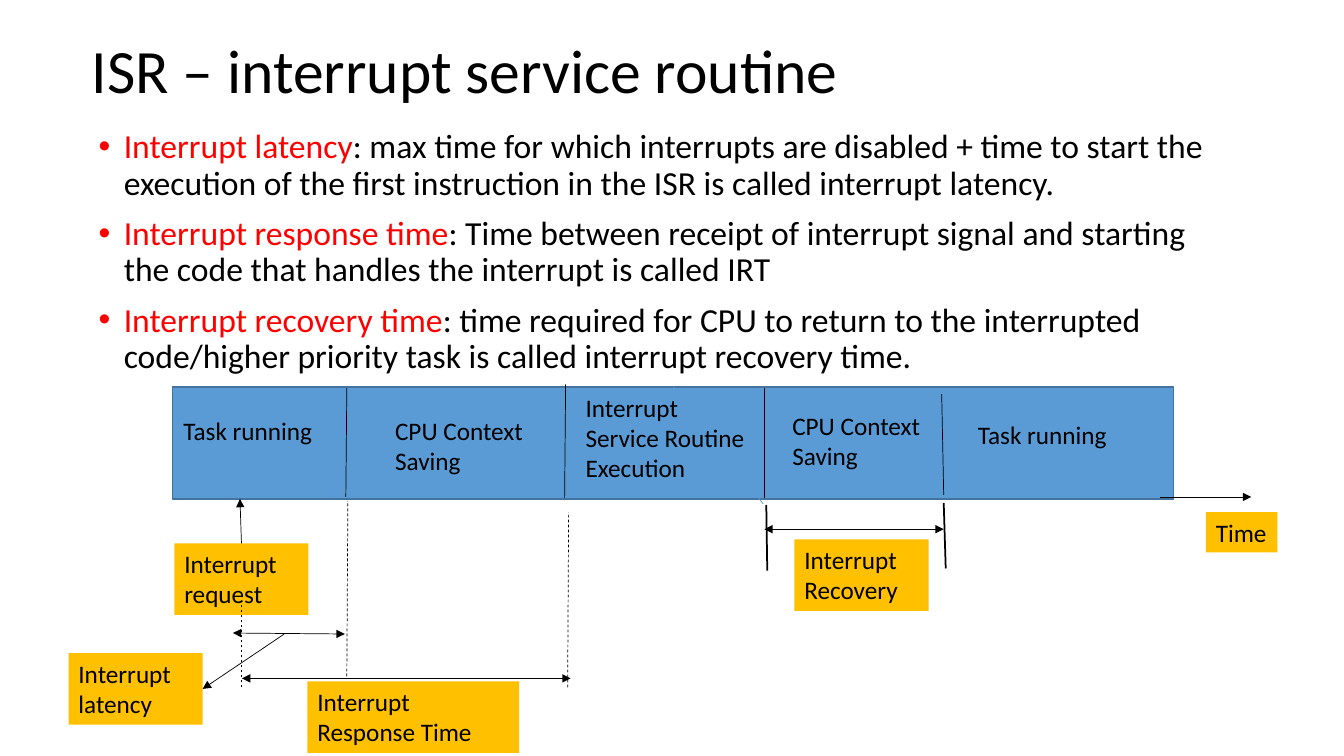
from dataclasses import dataclass
from lxml.etree import SubElement
from pptx import Presentation
from pptx.dml.color import RGBColor
from pptx.enum.dml import MSO_LINE
from pptx.enum.shapes import MSO_CONNECTOR, MSO_SHAPE
from pptx.enum.text import MSO_ANCHOR
from pptx.oxml.ns import qn
from pptx.util import Inches, Pt


@dataclass(frozen=True)
class Theme:
    font: str = "Calibri"
    black: RGBColor = RGBColor(0, 0, 0)
    red: RGBColor = RGBColor(0xFF, 0, 0)
    blue: RGBColor = RGBColor(0x5B, 0x9B, 0xD5)
    edge: RGBColor = RGBColor(0x43, 0x73, 0x9E)
    amber: RGBColor = RGBColor(0xFF, 0xC0, 0)
    title: int = 44
    body: int = 24
    label: int = 18


theme = Theme()
prs = Presentation()
prs.slide_width, prs.slide_height = Inches(13.33), Inches(7.5)
s = prs.slides.add_slide(prs.slide_layouts[6])


def add_text(text, size, left, top, width, height, fill=None, wrap=True):
    sp = s.shapes.add_textbox(*map(Inches, (left, top, width, height)))
    if fill is not None:
        sp.fill.solid()
        sp.fill.fore_color.rgb = fill
    tf = sp.text_frame
    tf.word_wrap = wrap
    tf.text = text
    font = tf.paragraphs[0].runs[0].font
    font.name, font.size, font.color.rgb = theme.font, Pt(size), theme.black
    return sp


def add_line(x1, y1, x2, y2, width=0.5, color=theme.black, dash=None, arrows=()):
    cx = s.shapes.add_connector(MSO_CONNECTOR.STRAIGHT, *map(Inches, (x1, y1, x2, y2)))
    cx.line.width, cx.line.color.rgb = Pt(width), color
    if dash:
        cx.line.dash_style = dash
    ln = cx.line._get_or_add_ln()
    for end in arrows:
        SubElement(ln, qn(f"a:{end}"), type="triangle")
    SubElement(cx._element.spPr, qn("a:effectLst"))
    return cx


sp = add_text("ISR – interrupt service routine", theme.title, 0.81, 0, 11.5, 1.45)
sp.text_frame.vertical_anchor = MSO_ANCHOR.MIDDLE
sp.text_frame.paragraphs[0].line_spacing = 0.9

definitions = [
    ("Interrupt latency", ": max time for which interrupts are disabled + time to start the "
     "execution of the first instruction in the ISR is called interrupt latency."),
    ("Interrupt response time", ": Time between receipt of interrupt signal and starting "
     "the code that handles the interrupt is called IRT"),
    ("Interrupt recovery time", ": time required for CPU to return to the interrupted "
     "code/higher priority task is called interrupt recovery time."),
]
tf = s.shapes.add_textbox(Inches(0.88), Inches(1.24), Inches(11.5), Inches(4.76)).text_frame
tf.word_wrap = True
for i, (term, meaning) in enumerate(definitions):
    p = tf.add_paragraph() if i else tf.paragraphs[0]
    p.line_spacing = 0.9
    p.space_before = Pt(10 if i else 0)
    pPr = p._p.get_or_add_pPr()
    pPr.set("marL", str(Inches(0.25)))
    pPr.set("indent", str(-Inches(0.25)))
    SubElement(pPr, qn("a:buFont"), typeface="Arial")
    SubElement(pPr, qn("a:buChar"), char="•")
    for text, color in ((term, theme.red), (meaning, theme.black)):
        r = p.add_run()
        r.text = text
        r.font.name, r.font.size, r.font.color.rgb = theme.font, Pt(theme.body), color

bar = s.shapes.add_shape(MSO_SHAPE.RECTANGLE, Inches(1.71), Inches(3.84), Inches(9.93), Inches(1.11))
bar.shadow.inherit = False
bar.fill.solid()
bar.fill.fore_color.rgb = theme.blue
bar.line.color.rgb, bar.line.width = theme.edge, Pt(1)

add_line(6.68, 3.84, 7.57, 5, color=theme.blue)
for divider in [(3.44, 3.85, 3.43, 4.93), (5.61, 3.81, 5.6, 4.94),
                (7.58, 3.85, 7.58, 4.94), (9.34, 3.91, 9.36, 4.91)]:
    add_line(*divider)

for text, left, top, width, height in [
    ("Task running", 1.72, 4.07, 1.51, 0.4),
    ("CPU Context Saving", 3.82, 4.07, 1.51, 0.71),
    ("Interrupt Service Routine Execution", 5.71, 3.84, 1.84, 1.01),
    ("CPU Context Saving", 7.76, 4.02, 1.51, 0.71),
    ("Task running", 9.6, 4.11, 1.78, 0.4),
]:
    add_text(text, theme.label, left, top, width, height)

request = add_text("Interrupt request", theme.label, 1.73, 5.39, 1.33, 0.71, theme.amber)
latency = add_text("Interrupt latency", theme.label, 0.68, 6.48, 1.33, 0.71, theme.amber)
add_text("Interrupt Recovery", theme.label, 7.88, 5.35, 1.33, 0.71, theme.amber)
add_text("Interrupt Response Time", theme.label, 3.05, 6.76, 2.1, 0.71, theme.amber)
add_text("Time", theme.label, 11.96, 5.08, 0.71, 0.4, theme.amber, wrap=False)

for guide in [(2.39, 6.82, 2.39, 5.91), (3.44, 6.71, 3.45, 4.97), (5.63, 6.82, 5.64, 5.08)]:
    add_line(*guide, dash=MSO_LINE.DASH)
for limit in [(7.6, 5.01, 7.61, 5.66), (9.36, 4.99, 9.38, 5.64)]:
    add_line(*limit, width=1.25)
for span in [(2.31, 6.28, 3.42, 6.29), (2.4, 6.73, 5.66, 6.73), (7.58, 5.25, 9.36, 5.25)]:
    add_line(*span, arrows=("headEnd", "tailEnd"))

add_line(11.51, 4.93, 12.41, 4.93, arrows=("tailEnd",))
add_line(2.39, 5.39, 2.38, 4.95, arrows=("tailEnd",)).begin_connect(request, 0)
add_line(2.82, 6.29, 2.01, 6.83, arrows=("tailEnd",)).end_connect(latency, 3)

prs.save("out.pptx")
